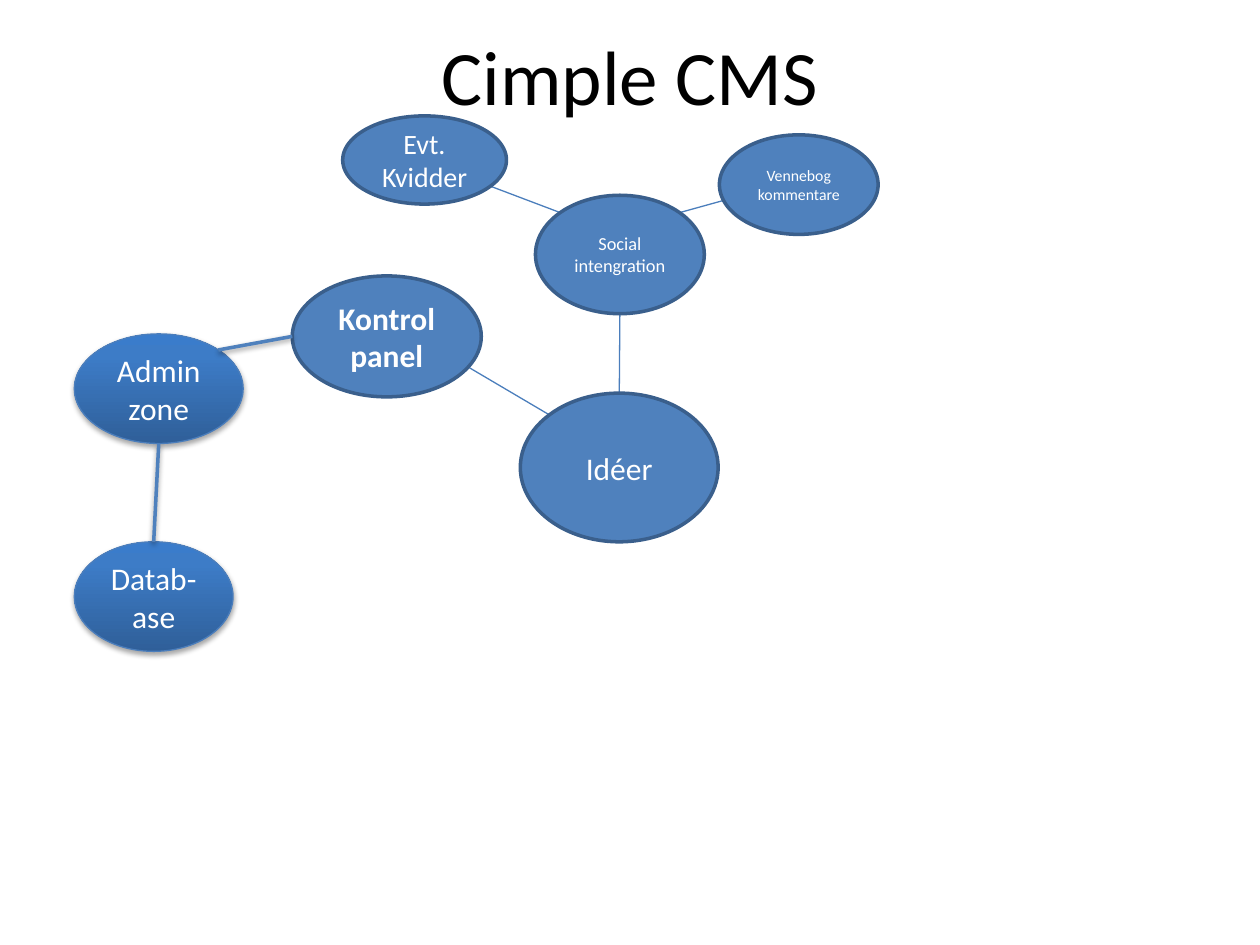
import math
import pptx
import pptx.util
import pptx.dml.color
import pptx.enum.shapes
import pptx.enum.text
import pptx.oxml
import pptx.oxml.ns

# Content: name -> text, (left, top, width, height), font size, bold, raised style
BUBBLES = {
    "ideas": ("Idéer", (4.13, 3.12, 1.57, 1.18), 18, False, False),
    "panel": ("Kontrolpanel", (2.32, 2.19, 1.5, 0.96), 18, True, False),
    "social": ("Social intengration", (4.25, 1.55, 1.34, 0.94), 10.5, False, False),
    "comments": ("Vennebog kommentare", (5.71, 1.07, 1.26, 0.79), 9, False, False),
    "feed": ("Evt. Kvidder", (2.72, 0.92, 1.3, 0.7), 16, False, False),
    "admin": ("Admin zone", (0.59, 2.65, 1.34, 0.87), 18, False, True),
    "database": ("Datab-ase", (0.59, 4.3, 1.26, 0.87), 18, False, True),
}
# Ends: (bubble, angle in degrees clockwise from the right) or a plain point
THIN_LINKS = [
    (("ideas", 225), (3.66, 2.88)),
    (("ideas", 270), ("social", 90)),
    (("social", 315), (5.89, 1.55)),
    (("social", 225), (3.66, 1.39)),
]
THICK_LINKS = [
    (("panel", 180), ("admin", 315)),
    (("admin", 90), ("database", 270)),
]
COLORS = {"title": "000000", "text": "FFFFFF", "fill": "4F81BD", "edge": "3A5F8C",
          "thin": "4B7EBC", "shadow": "000000"}
GRADIENT = [(0, "2F5F99"), (80, "3D7CC7"), (100, "3A7CCB")]
NS = pptx.oxml.ns.nsdecls("a")

prs = pptx.Presentation()
prs.slide_width, prs.slide_height = pptx.util.Inches(10), pptx.util.Inches(7.5)
s = prs.slides.add_slide(prs.slide_layouts[6])


def rgb(name):
    return pptx.dml.color.RGBColor.from_string(COLORS[name])


def inches(values):
    return [pptx.util.Inches(v) for v in values]


def write(sp, text, size=18, color="text", bold=False):
    tf = sp.text_frame
    tf.word_wrap = True
    tf.vertical_anchor = pptx.enum.text.MSO_ANCHOR.MIDDLE
    p = tf.paragraphs[0]
    p.alignment = pptx.enum.text.PP_ALIGN.CENTER
    r = p.add_run()
    r.text = text
    r.font.name, r.font.size, r.font.bold = "Calibri", pptx.util.Pt(size), bold
    r.font.color.rgb = rgb(color)


def set_line(sp, color, width):
    sp.line.color.rgb = rgb(color)
    sp.line.width = pptx.util.Pt(width)


def effects(alpha=0, dist=0):
    shadow = (f'<a:outerShdw blurRad="{pptx.util.Pt(3.1)}" dist="{pptx.util.Pt(dist)}" '
              f'dir="5400000" rotWithShape="0"><a:srgbClr val="{COLORS["shadow"]}">'
              f'<a:alpha val="{alpha * 1000}"/></a:srgbClr></a:outerShdw>') if alpha else ""
    return pptx.oxml.parse_xml(f"<a:effectLst {NS}>{shadow}</a:effectLst>")


def raise_bubble(sp):
    stops = "".join(f'<a:gs pos="{pos * 1000}"><a:srgbClr val="{c}"/></a:gs>'
                    for pos, c in GRADIENT)
    props = sp._element.spPr
    props.find(pptx.oxml.ns.qn("a:prstGeom")).addnext(pptx.oxml.parse_xml(
        f'<a:gradFill {NS} rotWithShape="1"><a:gsLst>{stops}</a:gsLst>'
        f'<a:lin ang="16200000" scaled="0"/></a:gradFill>'))
    set_line(sp, "thin", 0.75)
    props.append(effects(35, 1.8))


def locate(end):
    if end[0] not in BUBBLES:
        return end
    x, y, w, h = BUBBLES[end[0]][1]
    a = math.radians(end[1])
    return x + w / 2 * (1 + math.cos(a)), y + h / 2 * (1 + math.sin(a))


def link(start, end, color, width, **shadow):
    c = s.shapes.add_connector(pptx.enum.shapes.MSO_CONNECTOR.STRAIGHT,
                               *inches(locate(start) + locate(end)))
    set_line(c, color, width)
    c._element.spPr.append(effects(**shadow))


# Title
write(s.shapes.add_textbox(*inches((0.75, 0.13, 8.5, 0.92))), "Cimple CMS",
      size=44, color="title")

# Thin links run behind the bubbles
for start, end in THIN_LINKS:
    link(start, end, "thin", 0.75)

# Bubbles
for text, box, size, bold, raised in BUBBLES.values():
    sp = s.shapes.add_shape(pptx.enum.shapes.MSO_SHAPE.OVAL, *inches(box))
    if raised:
        raise_bubble(sp)
    else:
        sp.shadow.inherit = False
        sp.fill.solid()
        sp.fill.fore_color.rgb = rgb("fill")
        set_line(sp, "edge", 2)
    write(sp, text, size=size, bold=bold)

# Thick links lie on top
for start, end in THICK_LINKS:
    link(start, end, "fill", 2, alpha=38, dist=1.6)

prs.save("out.pptx")
